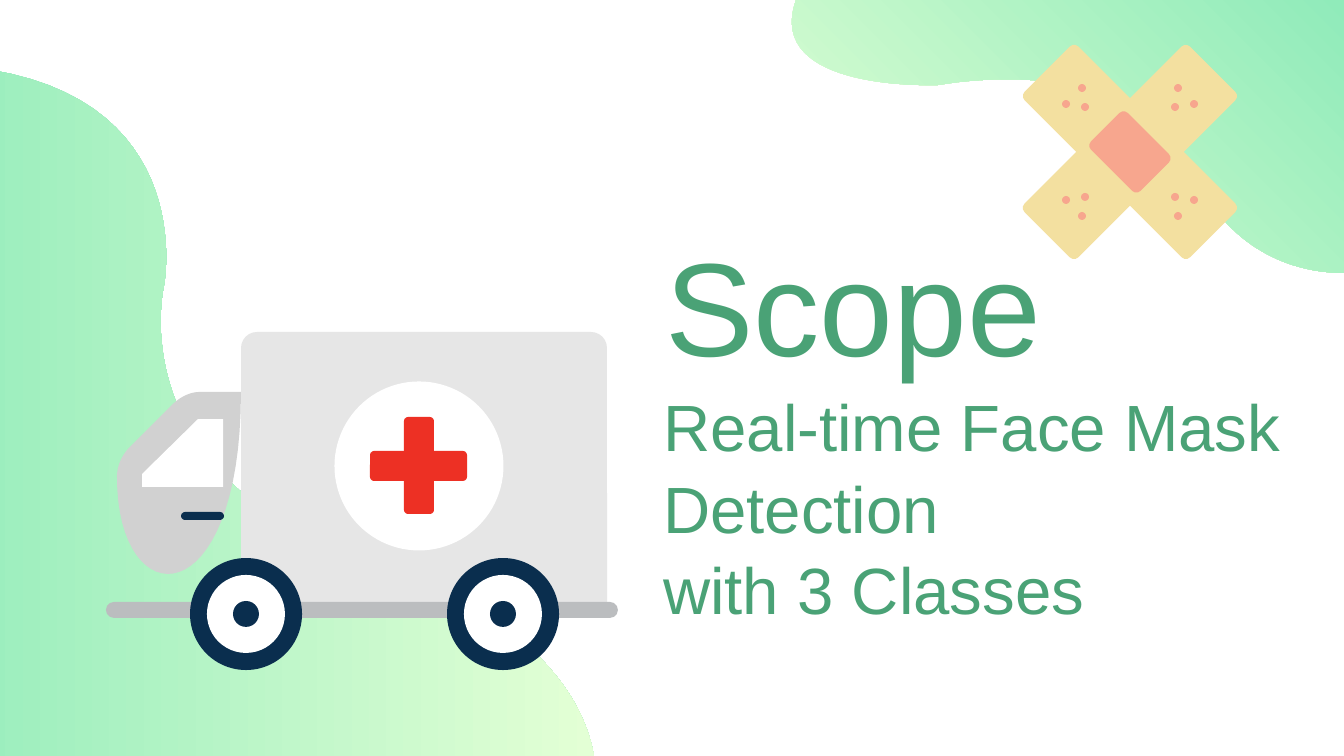
from dataclasses import dataclass

import pptx
import pptx.dml.color
import pptx.enum.shapes
import pptx.enum.text
import pptx.util

PX = 914400 / 134.4
KIND = pptx.enum.shapes.MSO_SHAPE


@dataclass(frozen=True)
class Theme:
    font: str = "Arial"
    title_size: int = 71
    subtitle_size: int = 35
    line_spacing: float = 1.04
    text: str = "4AA276"
    mint: str = "90EBBA"
    pale: str = "E3FFD5"
    band: str = "F3E0A0"
    pad: str = "F7A68E"
    cab: str = "D1D1D1"
    body: str = "E6E6E6"
    bumper: str = "BBBDBF"
    navy: str = "0A2E4E"
    red: str = "ED3024"
    white: str = "FFFFFF"


THEME = Theme()


def px(n):
    return pptx.util.Emu(round(n * PX))


def rgb(color):
    return pptx.dml.color.RGBColor.from_string(color)


def paint(sp, color):
    sp.shadow.inherit = False
    sp.line.fill.background()
    sp.fill.solid()
    sp.fill.fore_color.rgb = rgb(color)


def paint_gradient(sp, colors, angle):
    paint(sp, colors[0])
    sp.fill.gradient()
    sp.fill.gradient_angle = angle
    for stop, color in zip(sp.fill.gradient_stops, colors):
        stop.color.rgb = rgb(color)


def add_rounded(s, x, y, w, h, radius, color, rotation=0):
    sp = s.shapes.add_shape(KIND.ROUNDED_RECTANGLE, px(x), px(y), px(w), px(h))
    sp.adjustments[0] = radius / min(w, h)
    sp.rotation = rotation
    paint(sp, color)


def add_circle(s, cx, cy, size, color):
    corner = px(cx - size / 2), px(cy - size / 2)
    sp = s.shapes.add_shape(KIND.OVAL, *corner, px(size), px(size))
    paint(sp, color)


def curve_points(p0, p1, p2, p3, steps=32):
    for i in range(1, steps + 1):
        t = i / steps
        u = 1 - t
        yield tuple(
            u**3 * a + 3 * u * u * t * b + 3 * u * t * t * c + t**3 * d
            for a, b, c, d in zip(p0, p1, p2, p3)
        )


def add_outline(s, start, *segments):
    points = [start]
    for segment in segments:
        if len(segment) == 3:
            points.extend(curve_points(points[-1], *segment))
        else:
            points.extend(segment)
    emu = [(px(x), px(y)) for x, y in points]
    builder = s.shapes.build_freeform(*emu[0], scale=1.0)
    builder.add_line_segments(emu[1:], close=True)
    return builder.convert_to_shape()


def add_text(s, x, y, w, h, lines, size):
    tf = s.shapes.add_textbox(px(x), px(y), px(w), px(h)).text_frame
    tf.word_wrap = True
    tf.vertical_anchor = pptx.enum.text.MSO_ANCHOR.TOP
    tf.margin_left = tf.margin_right = pptx.util.Inches(0.1)
    tf.margin_top = tf.margin_bottom = pptx.util.Inches(0.1)
    tf.text = "\n".join(lines)
    for p in tf.paragraphs:
        p.line_spacing = THEME.line_spacing
        p.font.name = THEME.font
        p.font.size = pptx.util.Pt(size)
        p.font.color.rgb = rgb(THEME.text)


def add_blobs(s):
    left = add_outline(
        s, (594, 756),
        ((586, 710), (548, 621), (371, 562)),
        ((118, 478), (164, 286), (164, 286)),
        ((164, 286), (210, 48), (-116, 65)),
        ((-116, 756),),
    )
    paint_gradient(left, (THEME.mint, THEME.pale), 0)
    right = add_outline(
        s, (1344, 273),
        ((1302, 273), (1232, 257), (1193, 172)),
        ((1137, 46), (939, 85), (939, 85)),
        ((939, 85), (763, 93), (796, 0)),
        ((1344, 0),),
    )
    paint_gradient(right, (THEME.pale, THEME.mint), 45)


def add_bandages(s, cx, cy):
    for angle in (-45, 45):
        for w, h, color in ((234, 76, THEME.band), (70, 52, THEME.pad)):
            add_rounded(s, cx - w / 2, cy - h / 2, w, h, 6, color, angle)
    for side_x in (-1, 1):
        for side_y in (-1, 1):
            for dx, dy in ((48, 64), (64, 48), (45, 45)):
                add_circle(s, cx + side_x * dx, cy + side_y * dy, 8, THEME.pad)


def add_wheel(s, cx, cy):
    for size, color in ((112, THEME.navy), (78, THEME.white), (26, THEME.navy)):
        add_circle(s, cx, cy, size, color)


def add_ambulance(s):
    cab = add_outline(
        s, (200, 392),
        ((190, 392), (180, 397), (172, 405)),
        ((128, 449),),
        ((121, 457), (117, 467), (117, 477)),
        ((117, 618), (241, 618), (241, 392)),
    )
    paint(cab, THEME.cab)
    window = add_outline(
        s, (142, 487), ((223, 487),), ((223, 419), (198, 419)), ((142, 474),)
    )
    paint(window, THEME.white)
    add_rounded(s, 181, 512, 43, 8, 4, THEME.navy)
    add_rounded(s, 241, 332, 366, 286, 16, THEME.body)
    add_circle(s, 419, 466, 169, THEME.white)
    add_rounded(s, 404, 417, 30, 97, 4, THEME.red)
    add_rounded(s, 370, 451, 97, 30, 4, THEME.red)
    add_rounded(s, 106, 602, 512, 16, 8, THEME.bumper)
    for cx in (246, 503):
        add_wheel(s, cx, 614)


def main():
    prs = pptx.Presentation()
    prs.slide_width, prs.slide_height = px(1344), px(756)
    s = prs.slides.add_slide(prs.slide_layouts[6])
    add_blobs(s)
    subtitle = ("Real-time Face Mask Detection", "with 3 Classes")
    add_text(s, 650, 370, 681, 90, subtitle, THEME.subtitle_size)
    add_text(s, 652, 204, 587, 141, ("Scope",), THEME.title_size)
    add_bandages(s, 1130, 152)
    add_ambulance(s)
    prs.save("out.pptx")


if __name__ == "__main__":
    main()
